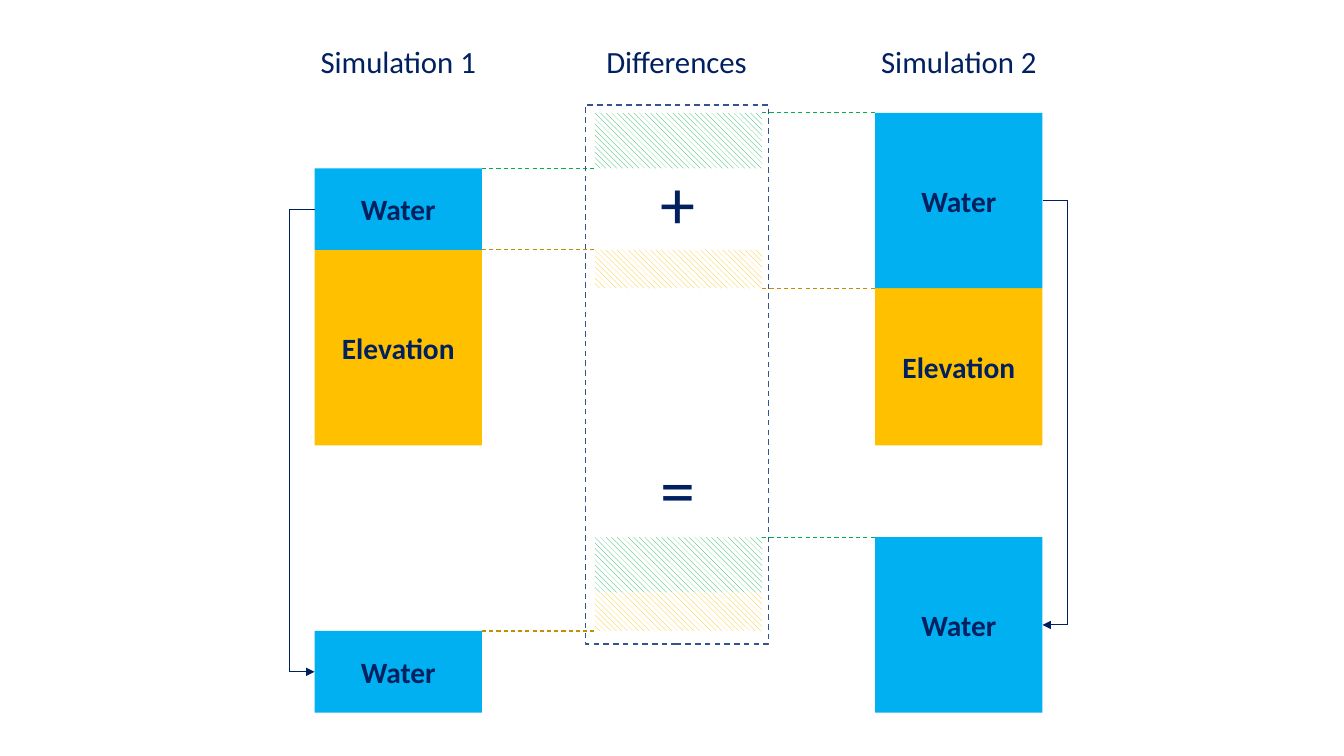
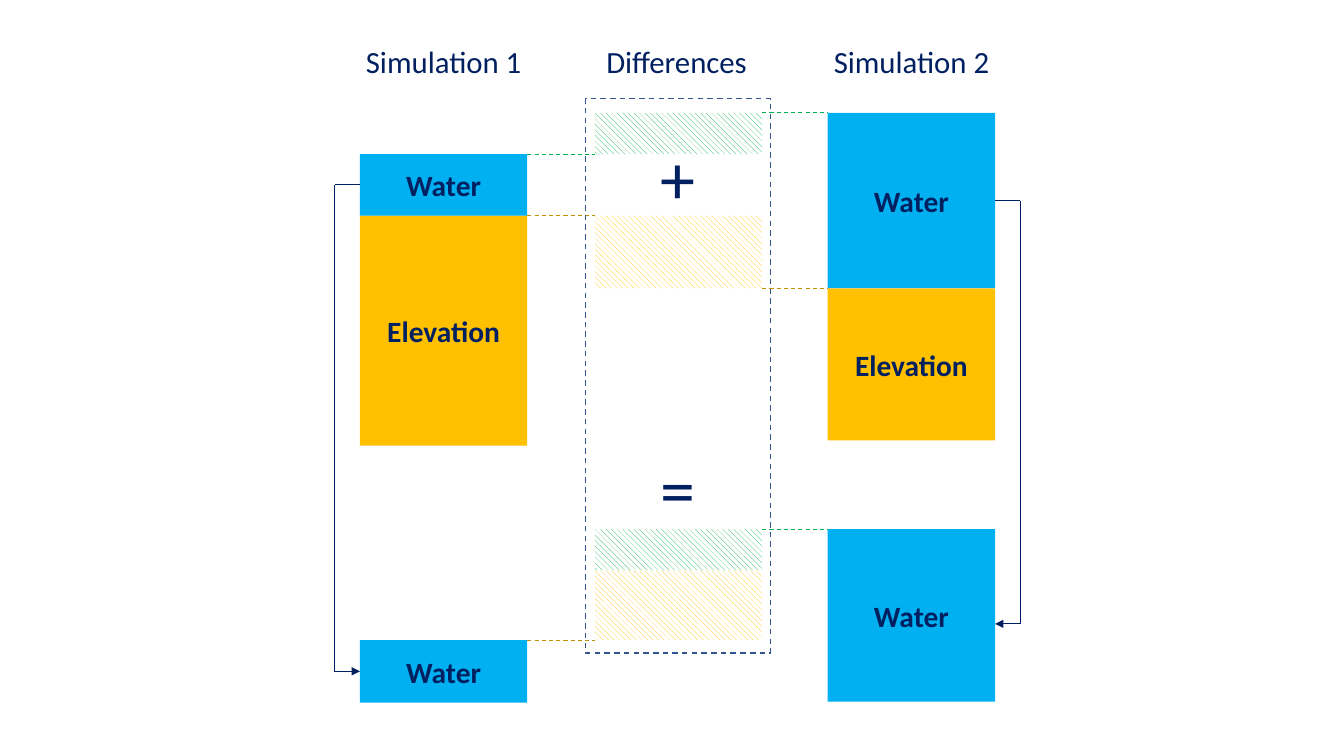
from dataclasses import dataclass

from lxml.etree import SubElement
from pptx import Presentation
from pptx.dml.color import RGBColor
from pptx.enum.dml import MSO_LINE, MSO_PATTERN
from pptx.enum.shapes import MSO_CONNECTOR, MSO_SHAPE
from pptx.enum.text import MSO_ANCHOR, MSO_AUTO_SIZE, PP_ALIGN
from pptx.oxml.ns import qn
from pptx.util import Inches, Pt


@dataclass(frozen=True)
class Theme:
    """Colours, font and type sizes shared by the slides."""

    ink: str = "002060"
    water: str = "00B0F0"
    elevation: str = "FFC000"
    water_change: str = "00B050"
    elevation_guide: str = "BF9000"
    frame: str = "325491"
    paper: str = "FFFFFF"
    font: str = "Calibri"
    label_size: int = 21
    heading_size: int = 22
    symbol_size: int = 50
    line_width: float = 0.75
    frame_width: float = 1


@dataclass(frozen=True)
class Simulation:
    """Grid positions of one simulation's column of boxes."""

    name: str
    left: int
    water_top: int
    elevation_top: int
    elevation_bottom: int
    result_top: int
    result_bottom: int
    arrow_row: int

    @property
    def water_middle(self):
        """Return the row through the middle of the upper water box."""
        return (self.water_top + self.elevation_top) / 2


@dataclass(frozen=True)
class Comparison:
    """Two simulations and the frame around their differences."""

    first: Simulation
    second: Simulation
    frame_top: int
    frame_bottom: int
    frame_columns: int


THEME = Theme()
GRID_COLUMNS, GRID_ROWS = 1333, 750
CELL = Inches(0.01)
BOX_COLUMNS = 166
DIFFERENCE_LEFT = 590
DIFFERENCE_RIGHT = DIFFERENCE_LEFT + BOX_COLUMNS
FRAME_LEFT = 581
SYMBOL_LEFT, SYMBOL_COLUMNS, SYMBOL_ROWS = 645, 53, 94
SYMBOL_RISE = 55
EQUALS_TOP = 437
HEADING_TOP, HEADING_COLUMNS, HEADING_ROWS = 37, 181, 47
BRACKET_COLUMNS = 25
LEFT_SITE, RIGHT_SITE = 1, 3

COMPARISONS = (
    Comparison(
        Simulation("Simulation 1", 312, 167, 248, 442, 626, 707, 667),
        Simulation("Simulation 2", 868, 112, 286, 442, 533, 707, 619),
        104, 639, 181,
    ),
    Comparison(
        Simulation("Simulation 1", 357, 153, 214, 442, 635, 697, 667),
        Simulation("Simulation 2", 821, 112, 286, 437, 525, 696, 619),
        98, 648, 183,
    ),
)


def grid(*cells):
    """Turn grid columns or rows into slide lengths."""
    return [round(cell * CELL) for cell in cells]


def color(value):
    """Return the colour of a hexadecimal value."""
    return RGBColor.from_string(value)


def write_text(shape, text, *, size, bold=False, anchor=MSO_ANCHOR.TOP):
    """Write one centred paragraph in the theme's font and ink."""
    frame = shape.text_frame
    frame.word_wrap = True
    frame.vertical_anchor = anchor
    paragraph = frame.paragraphs[0]
    paragraph.alignment = PP_ALIGN.CENTER
    run = paragraph.add_run()
    run.text = text
    run.font.name = THEME.font
    run.font.size = Pt(size)
    run.font.bold = bold
    run.font.color.rgb = color(THEME.ink)


def add_text(slide, text, left, top, columns, rows, **text_format):
    """Add a text box that grows with its text."""
    shape = slide.shapes.add_textbox(*grid(left, top, columns, rows))
    write_text(shape, text, **text_format)
    shape.text_frame.auto_size = MSO_AUTO_SIZE.SHAPE_TO_FIT_TEXT


def add_rectangle(slide, left, top, bottom, columns=BOX_COLUMNS):
    """Add a rectangle without shadow or outline."""
    shape = slide.shapes.add_shape(
        MSO_SHAPE.RECTANGLE, *grid(left, top, columns, bottom - top)
    )
    shape.shadow.inherit = False
    shape.line.fill.background()
    return shape


def add_box(slide, text, fill, left, top, bottom):
    """Add a filled box with a bold label."""
    shape = add_rectangle(slide, left, top, bottom)
    shape.fill.solid()
    shape.fill.fore_color.rgb = color(fill)
    write_text(
        shape, text, size=THEME.label_size, bold=True, anchor=MSO_ANCHOR.MIDDLE
    )
    return shape


def add_hatch(slide, fill, top, bottom):
    """Add a hatched band in the differences column."""
    shape = add_rectangle(slide, DIFFERENCE_LEFT, top, bottom)
    shape.fill.patterned()
    shape.fill.pattern = MSO_PATTERN.WIDE_DOWNWARD_DIAGONAL
    shape.fill.fore_color.rgb = color(fill)
    shape.fill.back_color.rgb = color(THEME.paper)


def style_line(line, stroke, width, dashed):
    """Set a line's colour, width and dash."""
    line.color.rgb = color(stroke)
    line.width = Pt(width)
    if dashed:
        line.dash_style = MSO_LINE.DASH


def add_line(slide, start, end, stroke=THEME.ink, dashed=False, arrow=False):
    """Add a straight connector between two grid points."""
    connector = slide.shapes.add_connector(
        MSO_CONNECTOR.STRAIGHT, *grid(*start, *end)
    )
    style_line(connector.line, stroke, THEME.line_width, dashed)
    properties = connector._element.spPr
    if arrow:
        SubElement(properties.find(qn("a:ln")), qn("a:tailEnd"), type="triangle")
    SubElement(properties, qn("a:effectLst"))
    return connector


def add_bracket(slide, simulation, water, result, site):
    """Lead from the upper water box around to the lower one."""
    if site == LEFT_SITE:
        edge, bend = simulation.left, simulation.left - BRACKET_COLUMNS
    else:
        edge = simulation.left + BOX_COLUMNS
        bend = edge + BRACKET_COLUMNS
    start_row, end_row = simulation.water_middle, simulation.arrow_row
    result_middle = (simulation.result_top + simulation.result_bottom) / 2
    exit_line = add_line(slide, (edge, start_row), (bend, start_row))
    exit_line.begin_connect(water, site)
    add_line(slide, (bend, start_row), (bend, end_row))
    if abs(result_middle - end_row) <= 1:
        end_row = result_middle
    arrow = add_line(slide, (bend, end_row), (edge, end_row), arrow=True)
    if end_row == result_middle:
        arrow.end_connect(result, site)


def add_simulation(slide, simulation, site):
    """Add one simulation's heading, boxes and bracket."""
    left = simulation.left
    add_box(slide, "Elevation", THEME.elevation, left,
            simulation.elevation_top, simulation.elevation_bottom)
    water, result = [
        add_box(slide, "Water", THEME.water, left, top, bottom)
        for top, bottom in (
            (simulation.water_top, simulation.elevation_top),
            (simulation.result_top, simulation.result_bottom),
        )
    ]
    add_heading(slide, simulation.name, left)
    add_bracket(slide, simulation, water, result, site)


def add_heading(slide, text, left):
    """Add a heading centred over a column."""
    add_text(slide, text, left - (HEADING_COLUMNS - BOX_COLUMNS) / 2,
             HEADING_TOP, HEADING_COLUMNS, HEADING_ROWS,
             size=THEME.heading_size)


def add_guides(slide, simulation, start, end, result_stroke):
    """Add the dashed levels between a simulation and the differences."""
    for row, stroke in (
        (simulation.water_top, THEME.water_change),
        (simulation.elevation_top, THEME.elevation_guide),
        (simulation.result_top, result_stroke),
    ):
        add_line(slide, (start, row), (end, row), stroke, dashed=True)


def add_differences(slide, comparison):
    """Add the hatched differences, their frame and the symbols."""
    first, second = comparison.first, comparison.second
    split = second.result_top + first.water_top - second.water_top
    for fill, top, bottom in (
        (THEME.water_change, second.water_top, first.water_top),
        (THEME.elevation, first.elevation_top, second.elevation_top),
        (THEME.water_change, second.result_top, split),
        (THEME.elevation, split, first.result_top),
    ):
        add_hatch(slide, fill, top, bottom)
    add_guides(slide, first, first.left + BOX_COLUMNS, DIFFERENCE_LEFT,
               THEME.elevation_guide)
    add_guides(slide, second, DIFFERENCE_RIGHT, second.left,
               THEME.water_change)
    add_heading(slide, "Differences", DIFFERENCE_LEFT - 2)
    frame = add_rectangle(slide, FRAME_LEFT, comparison.frame_top,
                          comparison.frame_bottom, comparison.frame_columns)
    frame.fill.background()
    style_line(frame.line, THEME.frame, THEME.frame_width, dashed=True)
    for symbol, top in (
        ("+", first.water_middle - SYMBOL_RISE),
        ("=", EQUALS_TOP),
    ):
        add_text(slide, symbol, SYMBOL_LEFT, top, SYMBOL_COLUMNS, SYMBOL_ROWS,
                 size=THEME.symbol_size, anchor=MSO_ANCHOR.MIDDLE)


def main():
    """Build and save the presentation."""
    presentation = Presentation()
    presentation.slide_width, presentation.slide_height = grid(
        GRID_COLUMNS, GRID_ROWS
    )
    blank_layout = presentation.slide_layouts.get_by_name("Blank")
    for comparison in COMPARISONS:
        slide = presentation.slides.add_slide(blank_layout)
        add_simulation(slide, comparison.first, LEFT_SITE)
        add_simulation(slide, comparison.second, RIGHT_SITE)
        add_differences(slide, comparison)
    presentation.save("out.pptx")


if __name__ == "__main__":
    main()
